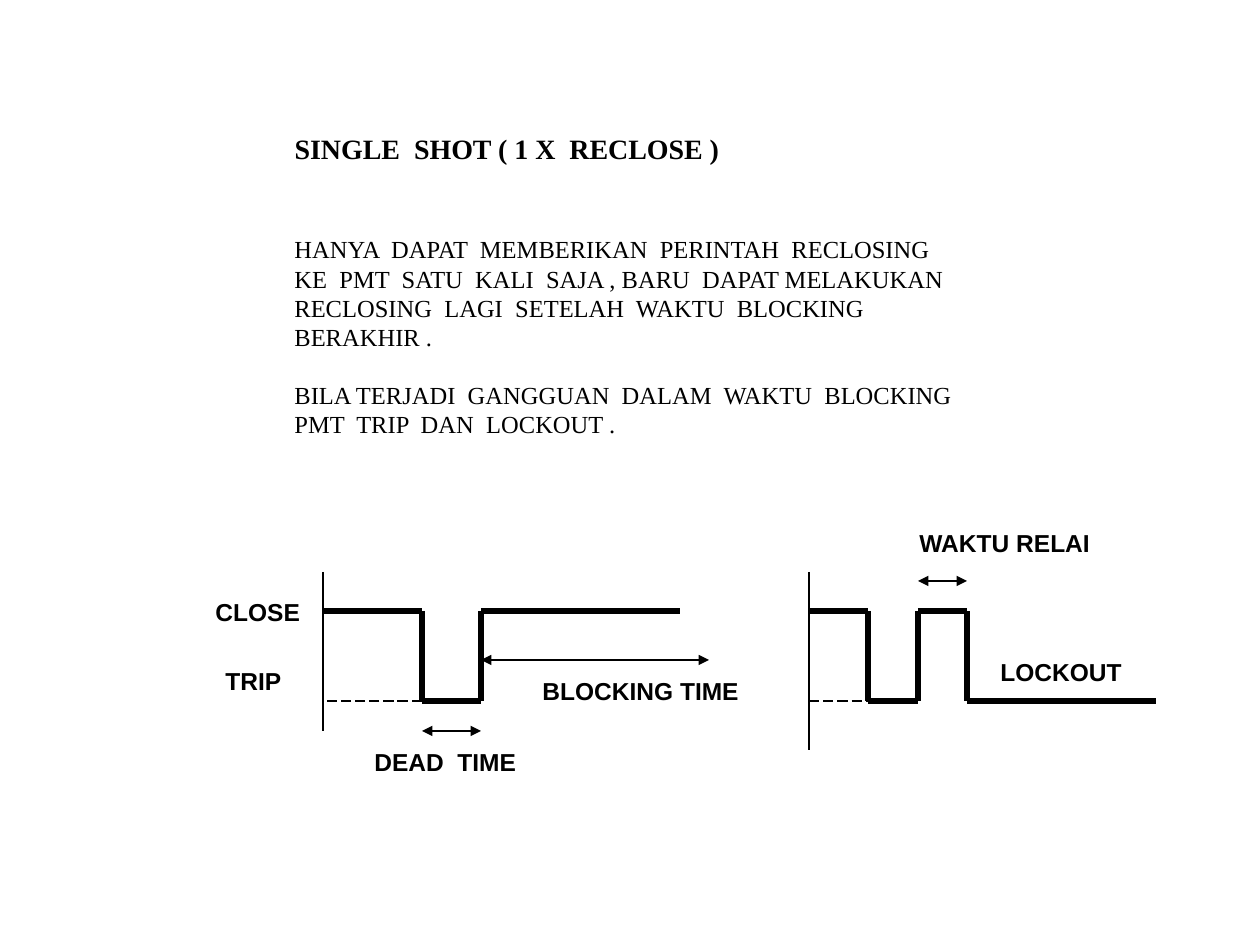
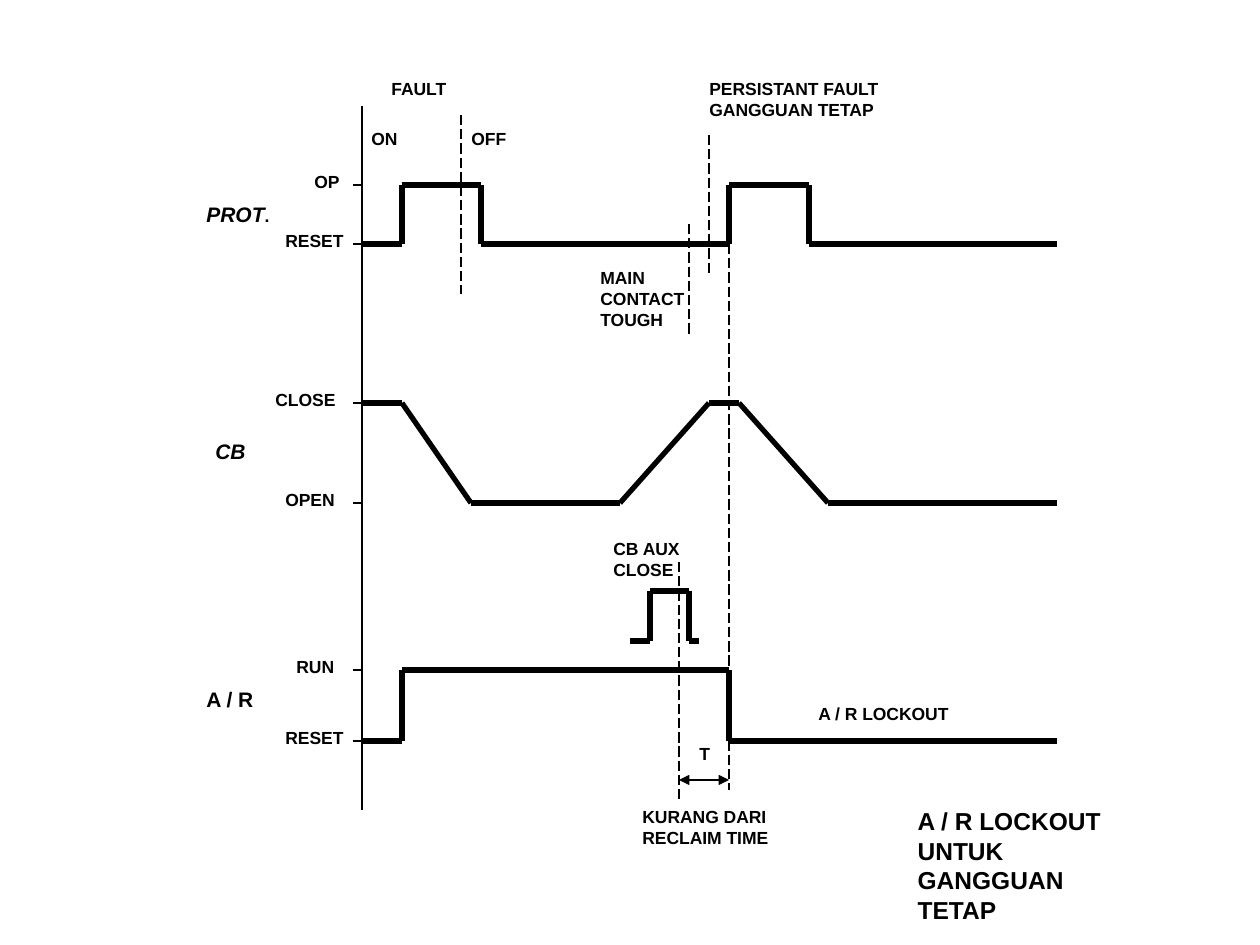
from itertools import pairwise

from lxml import etree
from pptx import Presentation, util as u
from pptx.dml.color import RGBColor
from pptx.enum import dml, shapes, text
from pptx.oxml.ns import qn

# Shared look
PX = 914400 // 126
COLORS = {"ink": "000000", "paper": "FFFFFF"}
SANS, SERIF = "Arial", "Times New Roman"
THIN, THICK = 0.75, 3
TITLE_ONLY = 5

# Slide 1: single-shot reclosing
CLOSED, TRIPPED = 611, 701
SINGLE_SHOT = {
    "title": ("SINGLE  SHOT ( 1 X  RECLOSE )", 282, 125, 690, 16, SERIF),
    "rules": [
        ["HANYA  DAPAT  MEMBERIKAN  PERINTAH  RECLOSING",
         "KE  PMT  SATU  KALI  SAJA , BARU  DAPAT MELAKUKAN",
         "RECLOSING  LAGI  SETELAH  WAKTU  BLOCKING",
         "BERAKHIR ."],
        ["BILA TERJADI  GANGGUAN  DALAM  WAKTU  BLOCKING",
         "PMT  TRIP  DAN  LOCKOUT ."],
    ],
    "signals": [
        [(323, CLOSED), (422, CLOSED), (422, TRIPPED), (481, TRIPPED),
         (481, CLOSED), (680, CLOSED)],
        [(809, CLOSED), (868, CLOSED), (868, TRIPPED), (918, TRIPPED),
         (918, CLOSED), (967, CLOSED), (967, TRIPPED), (1156, TRIPPED)],
    ],
    "axes": [[(323, 572), (323, 731)], [(809, 572), (809, 750)]],
    "guides": [[(422, TRIPPED), (323, TRIPPED)], [(809, TRIPPED), (868, TRIPPED)]],
    "spans": [[(481, 660), (709, 660)], [(422, 731), (481, 731)],
              [(918, 581), (967, 581)]],
    # text, left, top, width, size
    "labels": [
        ("CLOSE", 203, 591, 110, 14),
        ("TRIP", 213, 660, 81, 14),
        ("DEAD  TIME", 362, 741, 166, 14),
        ("BLOCKING TIME", 530, 670, 222, 14),
        ("WAKTU RELAI", 907, 522, 197, 14),
        ("LOCKOUT", 988, 651, 146, 14),
    ],
}

# Slide 2: lockout on a persistent fault
AXIS, END = 362, 1057
START, RETRIP = 402, 729
OP, PROT_RESET = 185, 244
CLOSE, OPEN = 403, 503
RUN, AR_RESET = 670, 741
AUX_ON, AUX_OFF = 591, 641
# level name, height, label left, label width
LEVELS = [
    ("OP", OP, 302, 50), ("RESET", PROT_RESET, 273, 83),
    ("CLOSE", CLOSE, 263, 84), ("OPEN", OPEN, 273, 74),
    ("RUN", RUN, 284, 63), ("RESET", AR_RESET, 273, 83),
]
LOCKOUT = {
    "title": ("A / R LOCKOUT\nUNTUK GANGGUAN\nTETAP", 905, 800, 263, 14, SANS),
    "signals": [
        # Protection
        [(AXIS, PROT_RESET), (START, PROT_RESET), (START, OP), (481, OP),
         (481, PROT_RESET), (RETRIP, PROT_RESET), (RETRIP, OP), (809, OP),
         (809, PROT_RESET), (END, PROT_RESET)],
        # Circuit breaker
        [(AXIS, CLOSE), (START, CLOSE), (471, OPEN), (620, OPEN),
         (709, CLOSE), (739, CLOSE), (828, OPEN), (END, OPEN)],
        # Auxiliary contact
        [(630, AUX_OFF), (650, AUX_OFF), (650, AUX_ON), (689, AUX_ON),
         (689, AUX_OFF), (699, AUX_OFF)],
        # Auto-recloser
        [(AXIS, AR_RESET), (START, AR_RESET), (START, RUN), (RETRIP, RUN),
         (RETRIP, AR_RESET), (END, AR_RESET)],
    ],
    "axes": [[(AXIS, 106), (AXIS, 810)]]
            + [[(AXIS - 9, y), (AXIS, y)] for _, y, _, _ in LEVELS],
    "guides": [[(x, top), (x, bottom)] for x, top, bottom in (
        (461, 115, 294), (679, 562, 800), (689, 224, 334),
        (709, 135, 275), (RETRIP, PROT_RESET, 790))],
    "spans": [[(679, 780), (RETRIP, 780)]],
    "labels": [(name, left, y - 20, width, 10) for name, y, left, width in LEVELS] + [
        ("PROT.", 194, 195, 88, 12),
        ("CB", 203, 432, 55, 12),
        ("A / R", 194, 680, 73, 12),
        ("ON", 359, 122, 52, 10),
        ("OFF", 459, 122, 59, 10),
        ("FAULT", 379, 72, 82, 10),
        ("PERSISTANT FAULT\nGANGGUAN TETAP", 697, 72, 198, 10),
        ("MAIN\nCONTACT\nTOUGH", 588, 261, 110, 10),
        ("CB AUX\nCLOSE", 601, 532, 92, 10),
        ("A / R LOCKOUT", 806, 697, 156, 10),
        ("T", 687, 737, 35, 10),
        ("KURANG DARI\nRECLAIM TIME", 630, 800, 151, 10),
    ],
}
ITALIC = {"PROT.", "CB"}


def rgb(name):
    return RGBColor.from_string(COLORS[name])


def style(run, size, font, bold, italic=False):
    run.font.size, run.font.name = u.Pt(size), font
    run.font.bold, run.font.italic = bold, italic
    run.font.color.rgb = rgb("ink")


def write(box, words, left, top, width, size, font=SANS, bold=True):
    """Place a text-bearing shape, sized to its number of lines."""
    lines = words.count("\n") + 1
    box.left, box.top, box.width = left * PX, top * PX, width * PX
    box.height = u.Pt(round(lines * size * 1.2 + 7.2))
    frame = box.text_frame
    frame.text = words
    frame.word_wrap = False
    frame.auto_size = text.MSO_AUTO_SIZE.NONE
    frame.vertical_anchor = text.MSO_ANCHOR.TOP
    for paragraph in frame.paragraphs:
        paragraph.alignment = text.PP_ALIGN.LEFT
        for run in paragraph.runs:
            style(run, size, font, bold, words in ITALIC)
    return frame


def draw(slide, points, weight, dashed=False, arrows=False):
    """Join successive points with straight connectors."""
    for (x1, y1), (x2, y2) in pairwise(points):
        segment = slide.shapes.add_connector(
            shapes.MSO_CONNECTOR.STRAIGHT, x1 * PX, y1 * PX, x2 * PX, y2 * PX)
        segment.line.color.rgb = rgb("ink")
        segment.line.width = u.Pt(weight)
        if dashed:
            segment.line.dash_style = dml.MSO_LINE.LONG_DASH
        if arrows:
            outline = segment.line._get_or_add_ln()
            for end in ("a:headEnd", "a:tailEnd"):
                etree.SubElement(outline, qn(end), type="triangle")
        etree.SubElement(segment._element.spPr, qn("a:effectLst"))


def add_diagram(deck, content):
    slide = deck.slides.add_slide(deck.slide_layouts[TITLE_ONLY])
    slide.background.fill.solid()
    slide.background.fill.fore_color.rgb = rgb("paper")
    write(slide.shapes.title, *content["title"])
    for axis in content["axes"]:
        draw(slide, axis, THIN)
    for signal in content["signals"]:
        draw(slide, signal, THICK)
    for guide in content["guides"]:
        draw(slide, guide, THIN, dashed=True)
    for span in content["spans"]:
        draw(slide, span, THIN, arrows=True)
    for label in content["labels"]:
        frame = write(slide.shapes.add_textbox(0, 0, 0, 0), *label)
        if label[0] == "PROT.":
            # The closing point is small and upright
            name = frame.paragraphs[0]
            name.runs[0].text = "PROT"
            point = name.add_run()
            point.text = "."
            style(point, 10, SANS, True)
    return slide


def add_rules(slide, rules):
    words = "\n".join("\n".join(rule) for rule in rules)
    frame = write(slide.shapes.add_textbox(0, 0, 0, 0), words,
                  282, 228, 690, 14, SERIF, bold=False)
    frame.paragraphs[len(rules[0])].space_before = u.Pt(16)


def main():
    deck = Presentation()
    deck.slide_width, deck.slide_height = u.Inches(10), u.Inches(7.5)
    add_rules(add_diagram(deck, SINGLE_SHOT), SINGLE_SHOT["rules"])
    add_diagram(deck, LOCKOUT)
    deck.save("out.pptx")


if __name__ == "__main__":
    main()
